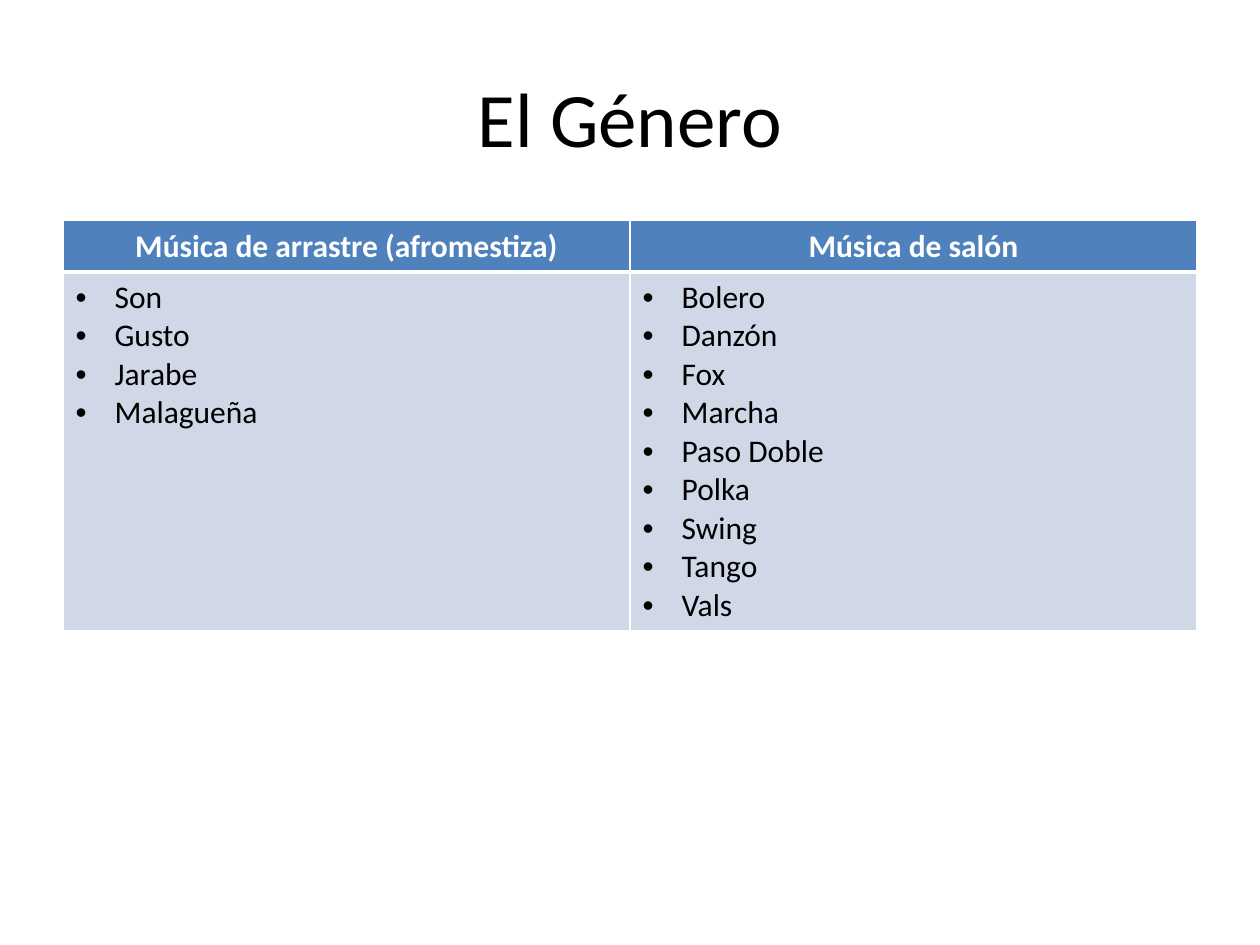
from dataclasses import dataclass

from lxml.etree import SubElement
from pptx import Presentation
from pptx.dml.color import RGBColor
from pptx.enum.text import MSO_ANCHOR, PP_ALIGN
from pptx.oxml.ns import qn
from pptx.util import Inches, Pt


@dataclass(frozen=True)
class Theme:
    font: str = "Calibri"
    title_size: int = 44
    table_size: int = 18
    black: str = "000000"
    white: str = "FFFFFF"
    header_fill: str = "4F81BD"
    body_fill: str = "D0D8E8"
    thin_border: int = 1
    thick_border: int = 3


THEME = Theme()

GENRES = {
    "Música de arrastre (afromestiza)": ["Son", "Gusto", "Jarabe", "Malagueña"],
    "Música de salón": [
        "Bolero", "Danzón", "Fox", "Marcha", "Paso Doble",
        "Polka", "Swing", "Tango", "Vals",
    ],
}


def add_bullet(paragraph):
    properties = paragraph._p.get_or_add_pPr()
    indent = Inches(0.31)
    properties.set("marL", str(indent))
    properties.set("indent", str(-indent))
    SubElement(properties, qn("a:buFont"), typeface="Arial")
    SubElement(properties, qn("a:buChar"), char="•")


def write_text(paragraph, text, size=THEME.table_size, color=THEME.black,
               bold=False, align=PP_ALIGN.LEFT, bullet=False):
    if bullet:
        add_bullet(paragraph)
    paragraph.alignment = align
    run = paragraph.add_run()
    run.text = text
    run.font.name = THEME.font
    run.font.size = Pt(size)
    run.font.bold = bold
    run.font.color.rgb = RGBColor.from_string(color)


def style_cell(cell, fill, top, bottom):
    # Borders come before the fill in the cell properties
    properties = cell._tc.get_or_add_tcPr()
    widths = {"L": THEME.thin_border, "R": THEME.thin_border, "T": top, "B": bottom}
    for side, width in widths.items():
        line = SubElement(properties, qn(f"a:ln{side}"), w=str(Pt(width)))
        line_fill = SubElement(line, qn("a:solidFill"))
        SubElement(line_fill, qn("a:srgbClr"), val=THEME.white)
    cell.fill.solid()
    cell.fill.fore_color.rgb = RGBColor.from_string(fill)


def add_title(slide, text):
    title = slide.shapes.title
    title.left, title.top = Inches(0.5), Inches(0.3)
    title.width, title.height = Inches(9), Inches(1.25)
    title.text_frame.vertical_anchor = MSO_ANCHOR.MIDDLE
    write_text(title.text_frame.paragraphs[0], text,
               size=THEME.title_size, align=PP_ALIGN.CENTER)


def fill_header(cell, heading):
    style_cell(cell, THEME.header_fill, THEME.thin_border, THEME.thick_border)
    cell.vertical_anchor = MSO_ANCHOR.MIDDLE
    write_text(cell.text_frame.paragraphs[0], heading, color=THEME.white,
               bold=True, align=PP_ALIGN.CENTER)


def fill_list(cell, items):
    style_cell(cell, THEME.body_fill, THEME.thick_border, THEME.thin_border)
    frame = cell.text_frame
    for index, item in enumerate(items):
        paragraph = frame.add_paragraph() if index else frame.paragraphs[0]
        write_text(paragraph, item, bullet=True)


def add_genre_table(slide, genres):
    shape = slide.shapes.add_table(2, len(genres), Inches(0.5), Inches(1.75),
                                   Inches(9), Inches(3.21))
    table = shape.table
    table.rows[0].height = Inches(0.41)
    table.rows[1].height = Inches(2.8)
    for column, (heading, items) in enumerate(genres.items()):
        fill_header(table.cell(0, column), heading)
        fill_list(table.cell(1, column), items)


def main():
    presentation = Presentation()
    presentation.slide_width = Inches(10)
    presentation.slide_height = Inches(7.5)
    slide = presentation.slides.add_slide(presentation.slide_layouts[5])

    # Heading
    add_title(slide, "El Género")

    # Genres by family
    add_genre_table(slide, GENRES)

    presentation.save("out.pptx")


if __name__ == "__main__":
    main()
